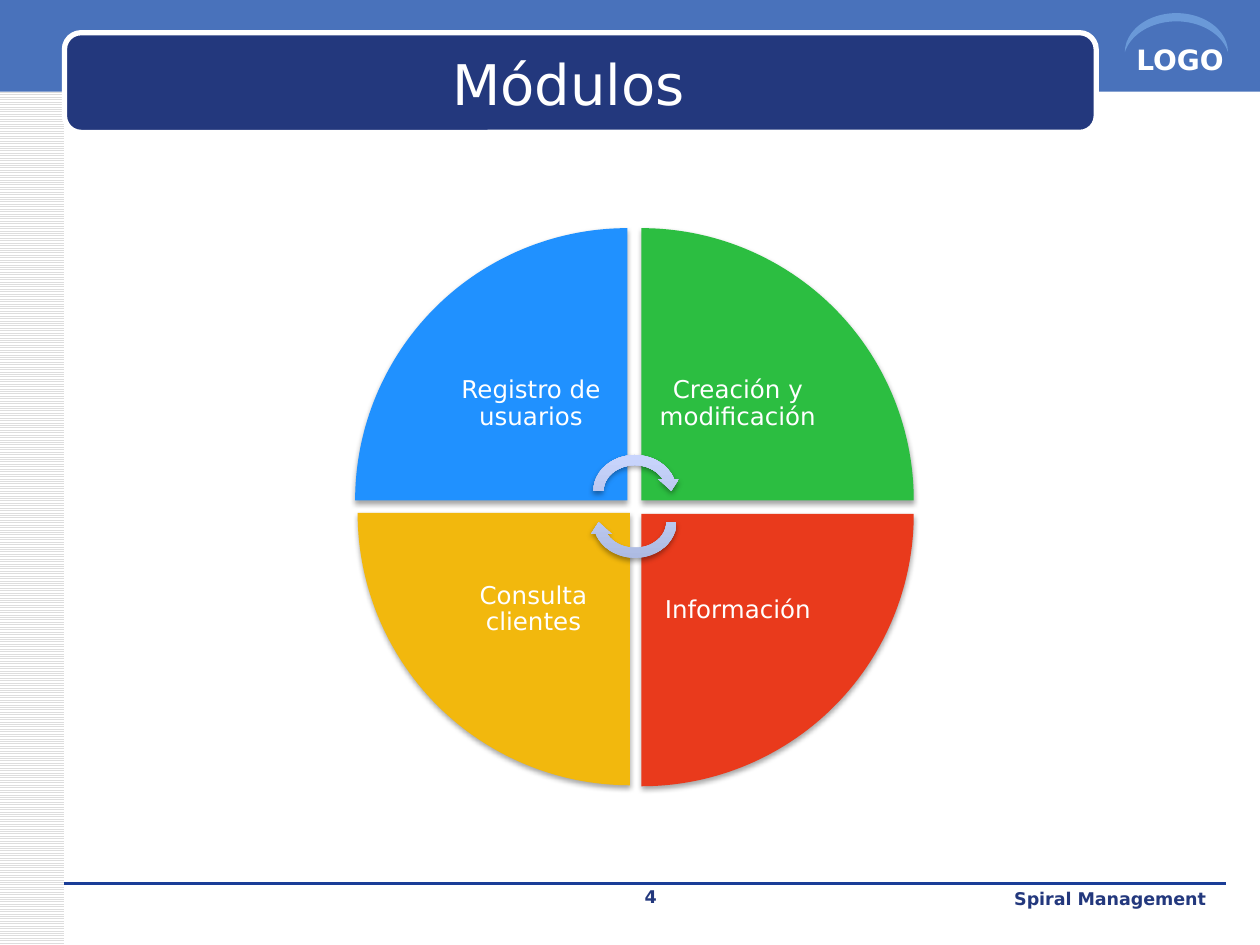
from lxml.etree import SubElement
from pptx import Presentation
from pptx.dml.color import RGBColor
from pptx.enum.dml import MSO_PATTERN
from pptx.enum.shapes import MSO_CONNECTOR, MSO_SHAPE
from pptx.enum.text import MSO_ANCHOR, MSO_AUTO_SIZE, PP_ALIGN
from pptx.oxml.ns import qn
from pptx.util import Cm, Pt

FONT = "DejaVu Sans"
WHITE = RGBColor(0xFF, 0xFF, 0xFF)
BLACK = RGBColor(0x00, 0x00, 0x00)
GREY = RGBColor(0xDD, 0xDD, 0xDD)
NAVY = RGBColor(0x23, 0x38, 0x7D)
BLUE = RGBColor(0x49, 0x72, 0xBB)
RULE_BLUE = RGBColor(0x1A, 0x3D, 0x97)
SKY = RGBColor(0x6A, 0x99, 0xD8)
ARROW_DARK = RGBColor(0xAB, 0xB9, 0xE0)
ARROW_LIGHT = RGBColor(0xCB, 0xD7, 0xFF)

WEDGE = 5.49
LABEL = 3.89
MODULES = [
    ("Registro de usuarios", 7.16, 4.6, 0, RGBColor(0x20, 0x91, 0xFF)),
    ("Creación y modificación", 12.93, 4.6, 90, RGBColor(0x2C, 0xBE, 0x41)),
    ("Información", 12.93, 10.36, 180, RGBColor(0xE9, 0x3A, 0x1C)),
    ("Consulta clientes", 7.21, 10.34, 270, RGBColor(0xF2, 0xB8, 0x0D)),
]


def add_shape(s, kind, box, color=None, rotation=0):
    """Add a preset shape without outline or shadow."""
    sp = s.shapes.add_shape(kind, *map(Cm, box))
    sp.rotation = rotation
    sp.shadow.inherit = False
    sp.line.fill.background()
    if color is not None:
        sp.fill.solid()
        sp.fill.fore_color.rgb = color
    return sp


def add_shadow(sp):
    """Give a shape a soft shadow below it."""
    effects = sp.element.spPr.find(qn("a:effectLst"))
    outer = SubElement(effects, qn("a:outerShdw"), blurRad=str(Pt(3.1)),
                       dist=str(Pt(1.8)), dir="5400000", rotWithShape="0")
    color = SubElement(outer, qn("a:srgbClr"), val=str(BLACK))
    SubElement(color, qn("a:alpha"), val="35000")


def write_text(sp, text, size, color, align, bold=False):
    """Fill a shape with one formatted paragraph."""
    tf = sp.text_frame
    tf.text = text
    tf.word_wrap = True
    p = tf.paragraphs[0]
    p.alignment = align
    font = p.runs[0].font
    font.name, font.size, font.bold = FONT, Pt(size), bold
    font.color.rgb = color
    return tf


def add_text(s, box, *args, **kwargs):
    """Add a text box with one paragraph."""
    return write_text(s.shapes.add_textbox(*map(Cm, box)), *args, **kwargs)


def add_frame(s):
    """Draw the side strip, header, emblem and footer rule."""
    strip = add_shape(s, MSO_SHAPE.RECTANGLE, (0, 0, 1.3, 19.05))
    strip.fill.patterned()
    strip.fill.pattern = MSO_PATTERN.LIGHT_HORIZONTAL
    strip.fill.fore_color.rgb = GREY
    strip.fill.back_color.rgb = WHITE
    add_shape(s, MSO_SHAPE.RECTANGLE, (0, -0.08, 25.4, 1.93), BLUE)

    rule = s.shapes.add_connector(MSO_CONNECTOR.STRAIGHT, Cm(1.3), Cm(17.81),
                                  Cm(24.71), Cm(17.81))
    rule.line.color.rgb = RULE_BLUE
    rule.line.width = Pt(0)
    SubElement(rule.element.spPr, qn("a:effectLst"))

    panel = add_shape(s, MSO_SHAPE.ROUNDED_RECTANGLE, (1.3, 0.66, 20.8, 2.01), NAVY)
    panel.line.color.rgb = WHITE
    panel.line.width = Pt(3)
    add_text(s, (22.66, 0.74, 2.74, 0.94), "LOGO", 16, WHITE, PP_ALIGN.LEFT, bold=True)
    moon = add_shape(s, MSO_SHAPE.MOON, (23.32, -0.38, 0.79, 2.08), SKY, 90)
    moon.adjustments[0] = 0.21


def add_title(s, text):
    """Place the title in front of the header panel."""
    title = s.shapes.title
    title.left, title.top, title.width, title.height = map(Cm, (1.52, 0.89, 19.89, 1.57))
    tf = write_text(title, text, 32, WHITE, PP_ALIGN.CENTER)
    tf.vertical_anchor = MSO_ANCHOR.MIDDLE
    tf.auto_size = MSO_AUTO_SIZE.NONE
    title.element.getparent().append(title.element)


def add_module(s, text, left, top, rotation, color):
    """Add a quarter of the wheel with its label near the centre."""
    wedge = add_shape(s, MSO_SHAPE.PIE_WEDGE, (left, top, WEDGE, WEDGE), color, rotation)
    add_shadow(wedge)
    inset = WEDGE - LABEL
    x = left + (inset if rotation in (0, 270) else 0)
    y = top + (inset if rotation in (0, 90) else 0)
    tf = add_text(s, (x, y, LABEL, LABEL), text, 14, WHITE, PP_ALIGN.CENTER)
    tf.vertical_anchor = MSO_ANCHOR.MIDDLE
    tf.margin_left = tf.margin_right = tf.margin_top = tf.margin_bottom = Cm(0.28)
    tf.paragraphs[0].line_spacing = 0.9
    tf.paragraphs[0].space_after = Pt(4.9)


def add_cycle_arrow(s, top, rotation):
    """Add one curved arrow at the hub of the wheel."""
    arrow = add_shape(s, MSO_SHAPE.CIRCULAR_ARROW, (11.86, top, 1.88, 1.65),
                      rotation=rotation)
    arrow.fill.gradient()
    arrow.fill.gradient_angle = 90
    for stop, color, position in zip(arrow.fill.gradient_stops,
                                     (ARROW_DARK, ARROW_LIGHT), (0, 1)):
        stop.color.rgb = color
        stop.position = position
    arrow.element.spPr.find(qn("a:gradFill")).set("rotWithShape", "0")
    add_shadow(arrow)


def main():
    """Build and save the slide."""
    prs = Presentation()
    prs.slide_width, prs.slide_height = Cm(25.4), Cm(19.05)
    s = prs.slides.add_slide(prs.slide_layouts[5])
    add_frame(s)
    add_title(s, "Módulos")
    for module in MODULES:
        add_module(s, *module)
    add_cycle_arrow(s, 9.07, 0)
    add_cycle_arrow(s, 9.7, 180)
    add_text(s, (16.51, 17.78, 8.05, 0.64), "Spiral Management", 10, NAVY,
             PP_ALIGN.RIGHT, bold=True)
    add_text(s, (10.16, 17.73, 5.92, 0.58), "4", 10, NAVY, PP_ALIGN.CENTER, bold=True)
    prs.save("out.pptx")


main()
